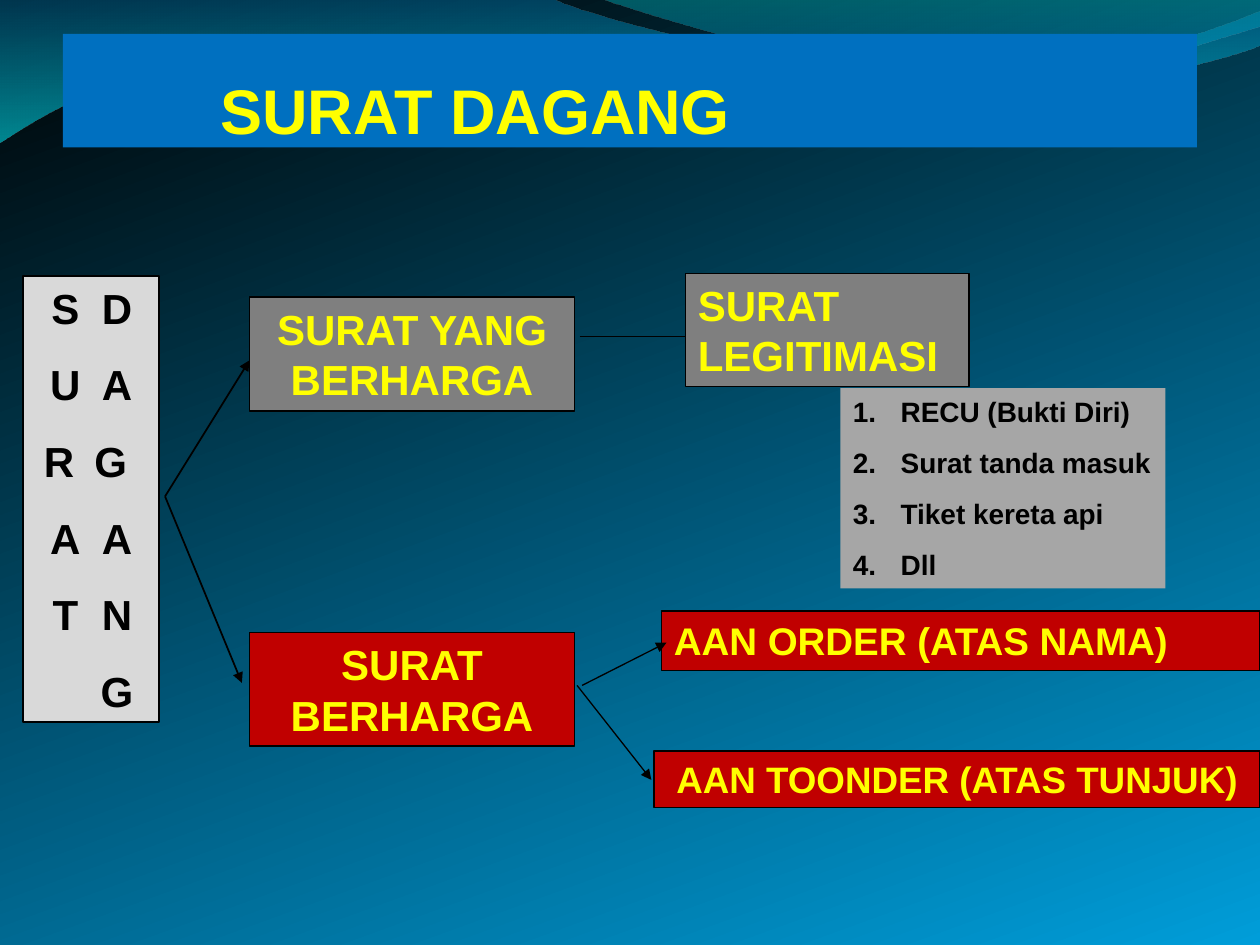
import pptx
import pptx.util
import pptx.dml.color
import pptx.enum.shapes
import pptx.enum.text
import pptx.oxml.ns
from lxml import etree

Inches = pptx.util.Inches
Pt = pptx.util.Pt
ALIGN = pptx.enum.text.PP_ALIGN
ANCHOR = pptx.enum.text.MSO_ANCHOR
RECT = pptx.enum.shapes.MSO_SHAPE.RECTANGLE
LINE = pptx.enum.shapes.MSO_CONNECTOR.STRAIGHT
qn = pptx.oxml.ns.qn

WAVES = [
    ([(0, 0), (4.4, 0),
      (4.76, 0.17, 6.64, 0.63, 7.58, 0.63), (8.53, 0.63, 9.58, 0.26, 10, 0.09),
      (10, 0.36),
      (9.83, 0.44, 8.7, 0.76, 7.46, 0.75), (6.22, 0.75, 3.82, 0.28, 2.57, 0.34),
      (1.29, 0.35, 0.46, 0.83, 0, 1.13)],
     [("0079AF", 45), ("00EBF8", 55)]),
    ([(4.79, 0),
      (5.09, 0.11, 6.82, 0.62, 7.69, 0.65), (8.56, 0.69, 9.61, 0.32, 10, 0.21),
      (10, 0)],
     [("00ADB6", 45), ("009BE5", 30)]),
]
TITLE = "SURAT DAGANG"
ITEMS = ["RECU (Bukti Diri)", "Surat tanda masuk", "Tiket kereta api", "Dll"]
ROWS = [("S", "D", 0), ("U", "A", 0), ("R", "G", -0.05),
        ("A", "A", 0), ("T", "N", 0), ("", "G", 0)]
STOPS = [0.24, 0.65]
BOXES = [
    ("SURAT LEGITIMASI", (5.44, 2.17, 2.25, 0.9), "7F7F7F", 0.75, 24, ALIGN.LEFT),
    ("SURAT YANG BERHARGA", (1.98, 2.36, 2.58, 0.9), "7F7F7F", 1, 24, ALIGN.CENTER),
    ("SURAT BERHARGA", (1.98, 5.02, 2.58, 0.9), "C00000", 1, 24, ALIGN.CENTER),
    ("AAN ORDER (ATAS NAMA)", (5.25, 4.85, 4.75, 0.47), "C00000", 0.75, 22, ALIGN.LEFT),
    ("AAN TOONDER (ATAS TUNJUK)", (5.19, 5.96, 4.81, 0.45), "C00000", 0.75, 21, ALIGN.CENTER),
]
LINKS = [
    ((4.6, 2.67), (5.44, 2.67), 0.75, False),
    ((1.31, 3.94), (1.98, 2.86), 1, True),
    ((1.31, 3.94), (1.92, 5.42), 1, True),
    ((4.62, 5.44), (5.29, 5.1), 0.75, True),
    ((4.58, 5.44), (5.17, 6.19), 0.75, True),
]


def color(code):
    return pptx.dml.color.RGBColor.from_string(code)


def blend(fill, codes, angle):
    fill.gradient()
    fill.gradient_angle = 360 - angle
    for stop, code in zip(fill.gradient_stops, codes):
        stop.color.rgb = color(code)


def bend(shape, steps):
    for node, step in zip(list(shape._element.iter(qn("a:lnTo"))), steps):
        if len(step) == 2:
            continue
        curve = etree.Element(qn("a:cubicBezTo"))
        for x, y in zip(step[::2], step[1::2]):
            etree.SubElement(curve, qn("a:pt"), x=str(Inches(x) - shape.left),
                             y=str(Inches(y) - shape.top))
        node.getparent().replace(node, curve)


def wave(slide, steps, stops):
    spots = [tuple(map(Inches, step[-2:])) for step in steps]
    form = slide.shapes.build_freeform(*spots[0])
    form.add_line_segments(spots[1:], close=True)
    shape = form.convert_to_shape()
    bend(shape, steps[1:])
    shape.shadow.inherit = False
    shape.line.fill.background()
    blend(shape.fill, [code for code, _ in stops], 90)
    for node, (_, alpha) in zip(shape._element.spPr.iter(qn("a:srgbClr")), stops):
        etree.SubElement(node, qn("a:alpha"), val=str(alpha * 1000))


def panel(slide, place, fill, width=0):
    shape = slide.shapes.add_shape(RECT, *map(Inches, place))
    shape.shadow.inherit = False
    shape.fill.solid()
    shape.fill.fore_color.rgb = color(fill)
    if width:
        shape.line.color.rgb = color("000000")
        shape.line.width = Pt(width)
    else:
        shape.line.fill.background()
    frame = shape.text_frame
    frame.word_wrap = True
    frame.vertical_anchor = ANCHOR.TOP
    return frame


def write(frame, texts, size, ink, align=ALIGN.LEFT, gap=0, setup=None):
    for i, text in enumerate(texts):
        para = frame.paragraphs[0] if i == 0 else frame.add_paragraph()
        para.alignment = align
        if i:
            para.space_before = Pt(gap)
        if setup:
            setup(para._p.get_or_add_pPr(), i)
        run = para.add_run()
        run.text = text
        run.font.name = "Arial"
        run.font.size = Pt(size)
        run.font.bold = True
        run.font.color.rgb = color(ink)


def number(props, row):
    props.set("marL", str(Inches(0.38)))
    props.set("indent", str(-Inches(0.38)))
    tint = etree.SubElement(props, qn("a:buClr"))
    etree.SubElement(tint, qn("a:srgbClr"), val="000000")
    etree.SubElement(props, qn("a:buFont"), typeface="+mj-lt")
    etree.SubElement(props, qn("a:buAutoNum"), type="arabicPeriod")


def center(props, row):
    tabs = etree.SubElement(props, qn("a:tabLst"))
    for stop in STOPS:
        etree.SubElement(tabs, qn("a:tab"), pos=str(Inches(stop + ROWS[row][2])), algn="ctr")


def link(slide, start, end, width, arrow):
    line = slide.shapes.add_connector(LINE, *map(Inches, start + end))
    line.line.color.rgb = color("000000")
    line.line.width = Pt(width)
    if arrow:
        etree.SubElement(line.line._get_or_add_ln(), qn("a:tailEnd"), type="triangle")
    etree.SubElement(line._element.spPr, qn("a:effectLst"))


def main():
    deck = pptx.Presentation()
    deck.slide_width, deck.slide_height = Inches(10), Inches(7.5)
    slide = deck.slides.add_slide(deck.slide_layouts[6])
    blend(slide.background.fill, ["000000", "009DD9"], 70)
    for steps, stops in WAVES:
        wave(slide, steps, stops)

    head = panel(slide, (0.5, 0.27, 9, 0.9), "0070C0")
    head.vertical_anchor = ANCHOR.BOTTOM
    head.margin_left, head.margin_bottom = Inches(1.25), 0
    write(head, [TITLE], 36, "FFFF00")

    write(panel(slide, (6.67, 3.08, 2.58, 1.59), "A6A6A6"),
          ITEMS, 16, "000000", gap=10, setup=number)
    write(panel(slide, (0.18, 2.19, 1.08, 3.54), "D9D9D9", 1),
          [f"\t{left}\t{right}" for left, right, _ in ROWS],
          24, "000000", gap=15, setup=center)
    for text, place, fill, width, size, align in BOXES:
        write(panel(slide, place, fill, width), [text], size, "FFFF00", align)
    for start, end, width, arrow in LINKS:
        link(slide, start, end, width, arrow)
    deck.save("out.pptx")


if __name__ == "__main__":
    main()
